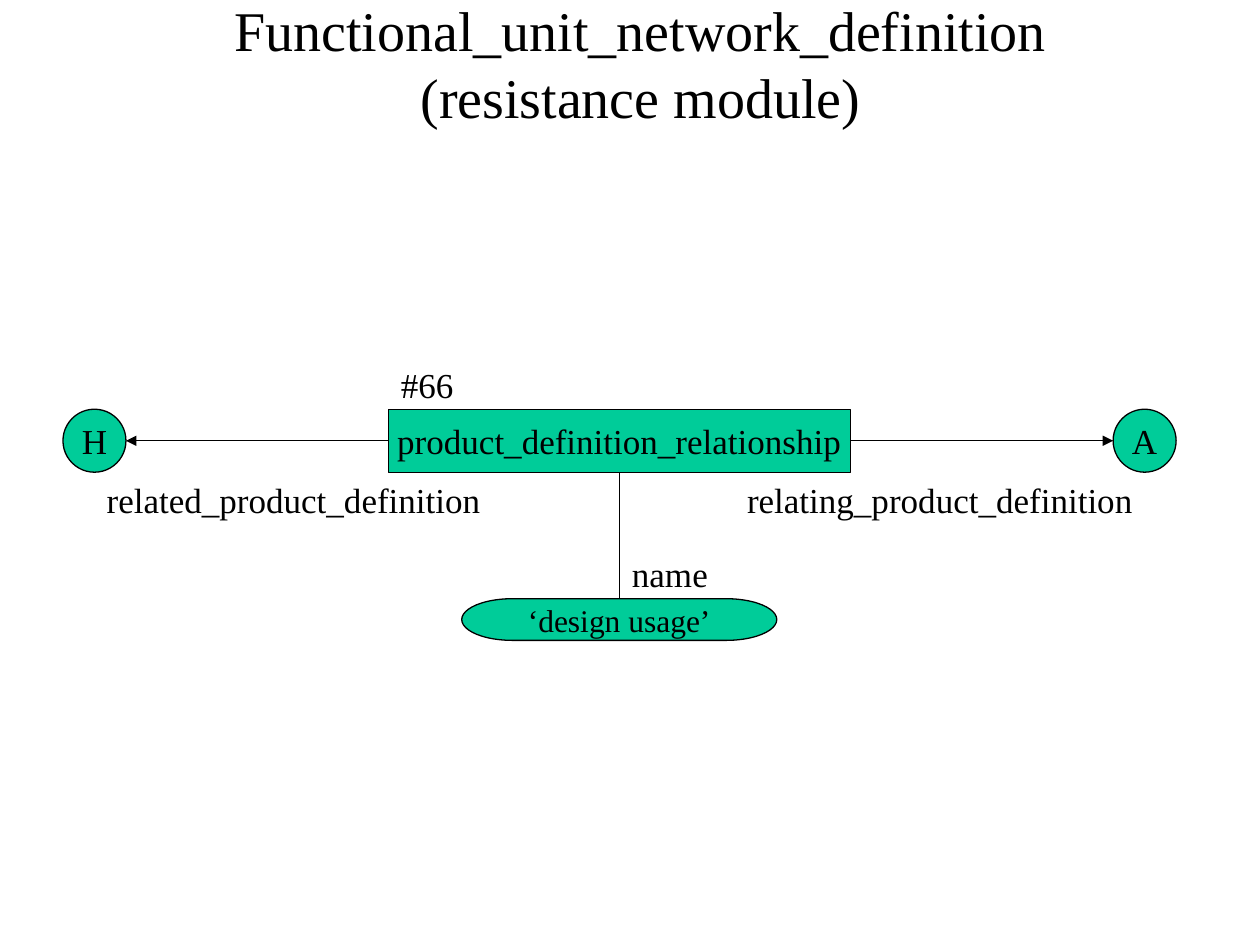
"""Build the functional unit network definition slide."""
from dataclasses import dataclass

from lxml import etree
from pptx import Presentation
from pptx.dml.color import RGBColor
from pptx.enum.shapes import MSO_CONNECTOR, MSO_SHAPE
from pptx.enum.text import MSO_ANCHOR, MSO_AUTO_SIZE, PP_ALIGN
from pptx.oxml.ns import qn
from pptx.shapes.autoshape import Shape
from pptx.shapes.connector import Connector
from pptx.slide import Slide
from pptx.text.text import TextFrame
from pptx.util import Cm, Pt

RECT = MSO_SHAPE.RECTANGLE
CIRCLE = MSO_SHAPE.FLOWCHART_CONNECTOR
TERMINATOR = MSO_SHAPE.FLOWCHART_TERMINATOR
STRAIGHT = MSO_CONNECTOR.STRAIGHT
MIDDLE = MSO_ANCHOR.MIDDLE
TOP_ANCHOR = MSO_ANCHOR.TOP
CENTER = PP_ALIGN.CENTER
LEFT_ALIGN = PP_ALIGN.LEFT
NO_FIT = MSO_AUTO_SIZE.NONE
GROW = MSO_AUTO_SIZE.SHAPE_TO_FIT_TEXT

TOP, LEFT, BOTTOM, RIGHT = range(4)
COLORS = {"node": "00CC99", "ink": "000000"}
FONT = "Times New Roman"
LINE_WIDTH = Pt(0.75)
ROW_TOP, ROW_HEIGHT = 8.25, 1.27


@dataclass
class Node:
    text: str
    kind: MSO_SHAPE
    left: float
    top: float
    width: float
    height: float
    size: int = 20


@dataclass
class Label:
    text: str
    left: float
    top: float
    width: float


ENTITY = Node("product_definition_relationship", RECT, 7.83, ROW_TOP, 9.31, ROW_HEIGHT)
RELATING = Node("A", CIRCLE, 22.44, ROW_TOP, ROW_HEIGHT, ROW_HEIGHT)
RELATED = Node("H", CIRCLE, 1.27, ROW_TOP, ROW_HEIGHT, ROW_HEIGHT)
USAGE = Node("‘design usage’", TERMINATOR, 9.31, 12.07, 6.35, 0.84, 18)
LABELS = [
    Label("related_product_definition", 1.9, 9.53, 8.1),
    Label("relating_product_definition", 14.81, 9.53, 8.35),
    Label("name", 12.49, 11.02, 2.1),
    Label("#66", 7.83, 7.2, 1.7),
]


def style_text(tf: TextFrame, size: int, align: PP_ALIGN, anchor: MSO_ANCHOR) -> None:
    """Format every run of a text frame."""
    tf.vertical_anchor = anchor
    for p in tf.paragraphs:
        p.alignment = align
        for r in p.runs:
            r.font.name = FONT
            r.font.size = Pt(size)
            r.font.color.rgb = RGBColor.from_string(COLORS["ink"])


def add_title(s: Slide, text: str) -> None:
    """Place and fill the title placeholder."""
    sp = s.shapes.title
    sp.left, sp.top, sp.width, sp.height = Cm(2.12), Cm(0.42), Cm(21.59), Cm(1.69)
    tf = sp.text_frame
    tf.text = text
    tf.auto_size = NO_FIT
    style_text(tf, 32, CENTER, MIDDLE)


def add_node(s: Slide, node: Node) -> Shape:
    """Draw a filled node with centred text."""
    sp = s.shapes.add_shape(
        node.kind, Cm(node.left), Cm(node.top), Cm(node.width), Cm(node.height)
    )
    sp.shadow.inherit = False
    sp.fill.solid()
    sp.fill.fore_color.rgb = RGBColor.from_string(COLORS["node"])
    sp.line.color.rgb = RGBColor.from_string(COLORS["ink"])
    sp.line.width = LINE_WIDTH
    tf = sp.text_frame
    tf.text = node.text
    tf.word_wrap = False
    style_text(tf, node.size, CENTER, MIDDLE)
    return sp


def add_label(s: Slide, label: Label) -> None:
    """Draw a one-line text label."""
    sp = s.shapes.add_textbox(Cm(label.left), Cm(label.top), Cm(label.width), Cm(1.12))
    tf = sp.text_frame
    tf.text = label.text
    tf.word_wrap = False
    tf.auto_size = GROW
    style_text(tf, 20, LEFT_ALIGN, TOP_ANCHOR)


def add_link(s: Slide, source: Shape, side: int, x: int, y: int, arrow: bool) -> Connector:
    """Draw a line from a side of the source shape to a point."""
    link = s.shapes.add_connector(STRAIGHT, x, y, x, y)
    link.begin_connect(source, side)
    link.line.color.rgb = RGBColor.from_string(COLORS["ink"])
    link.line.width = LINE_WIDTH
    sp_pr = link.element.spPr
    if arrow:
        etree.SubElement(sp_pr.find(qn("a:ln")), qn("a:tailEnd"), type="triangle")
    etree.SubElement(sp_pr, qn("a:effectLst"))
    return link


def main() -> None:
    """Build and save the slide."""
    prs = Presentation()
    prs.slide_width, prs.slide_height = Cm(25.4), Cm(19.05)
    s = prs.slides.add_slide(prs.slide_layouts[5])
    add_title(s, "Functional_unit_network_definition\v(resistance module)")

    entity, relating, related, usage = (
        add_node(s, node) for node in (ENTITY, RELATING, RELATED, USAGE)
    )
    row_middle = entity.top + entity.height // 2
    add_link(s, entity, RIGHT, relating.left, row_middle, True)
    add_link(s, entity, LEFT, related.left + related.width, row_middle, True)
    stem = add_link(s, entity, BOTTOM, usage.left + usage.width // 2, usage.top, False)
    stem.end_connect(usage, TOP)

    for label in LABELS:
        add_label(s, label)
    prs.save("out.pptx")


if __name__ == "__main__":
    main()
